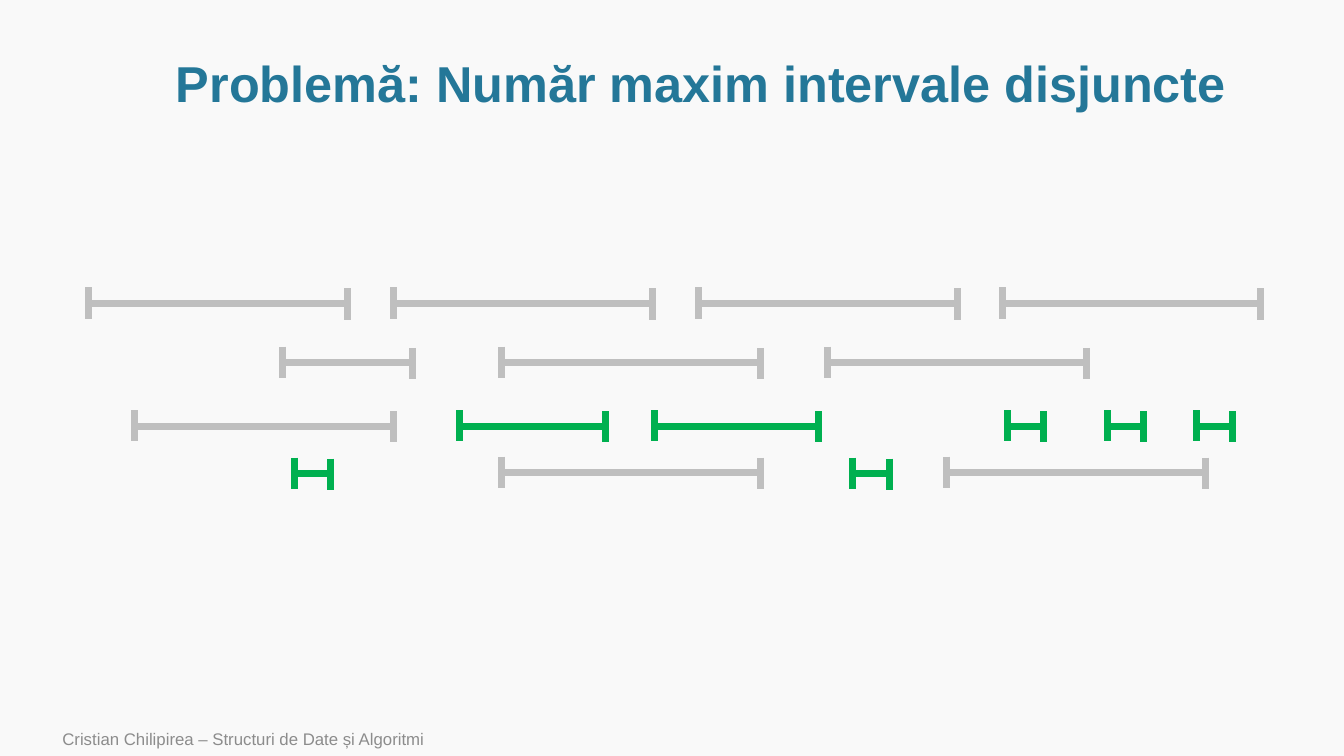
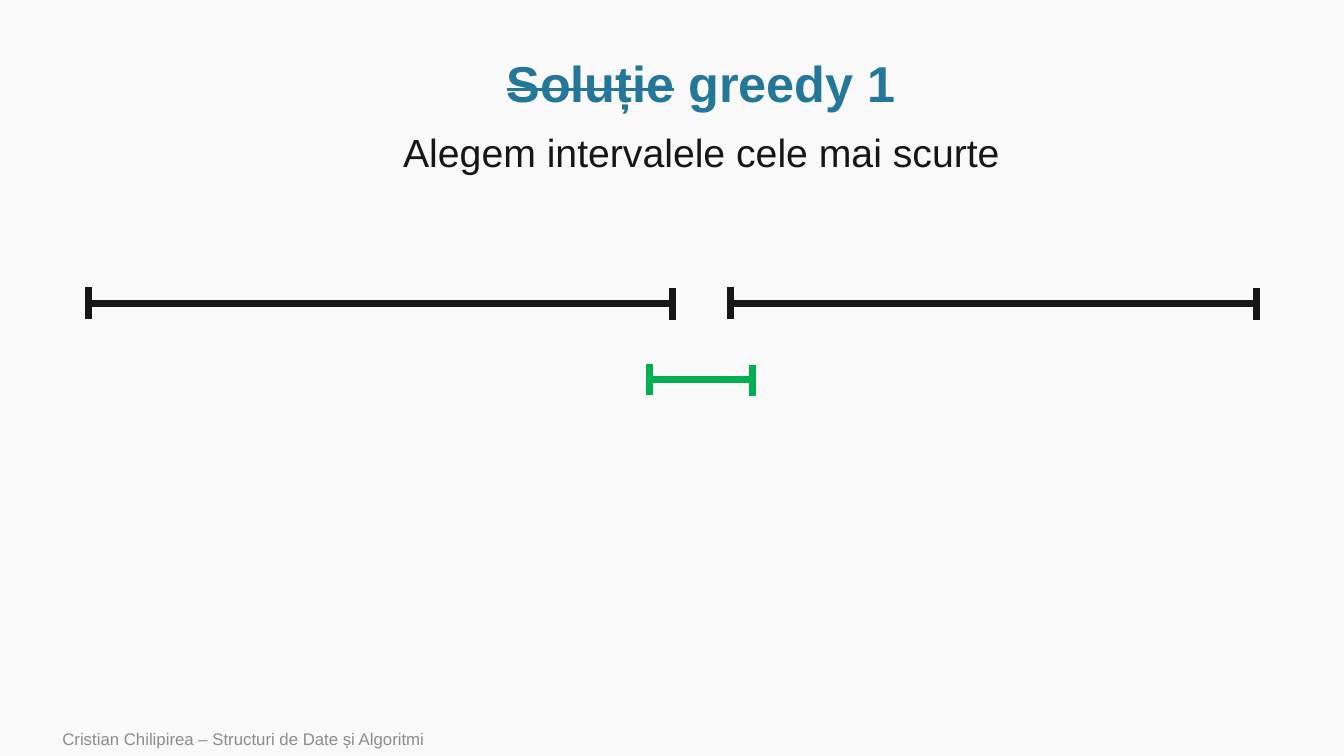
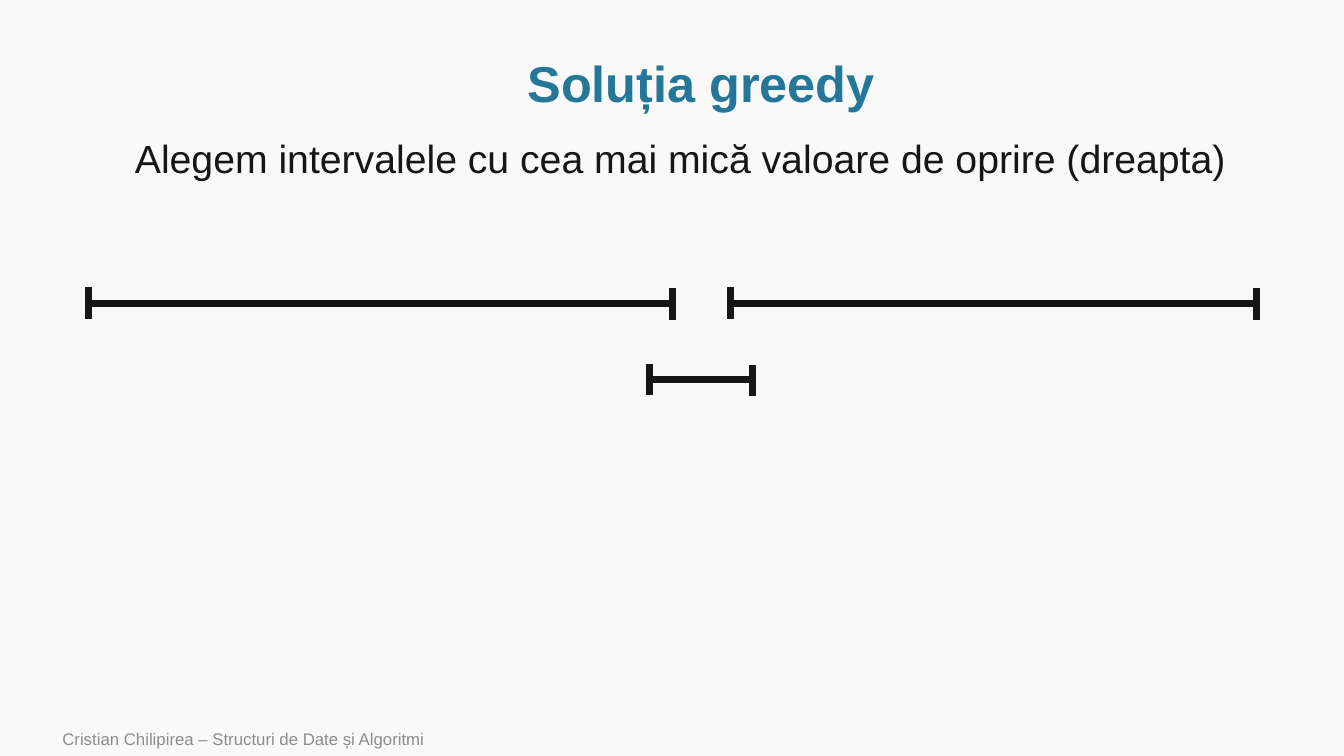
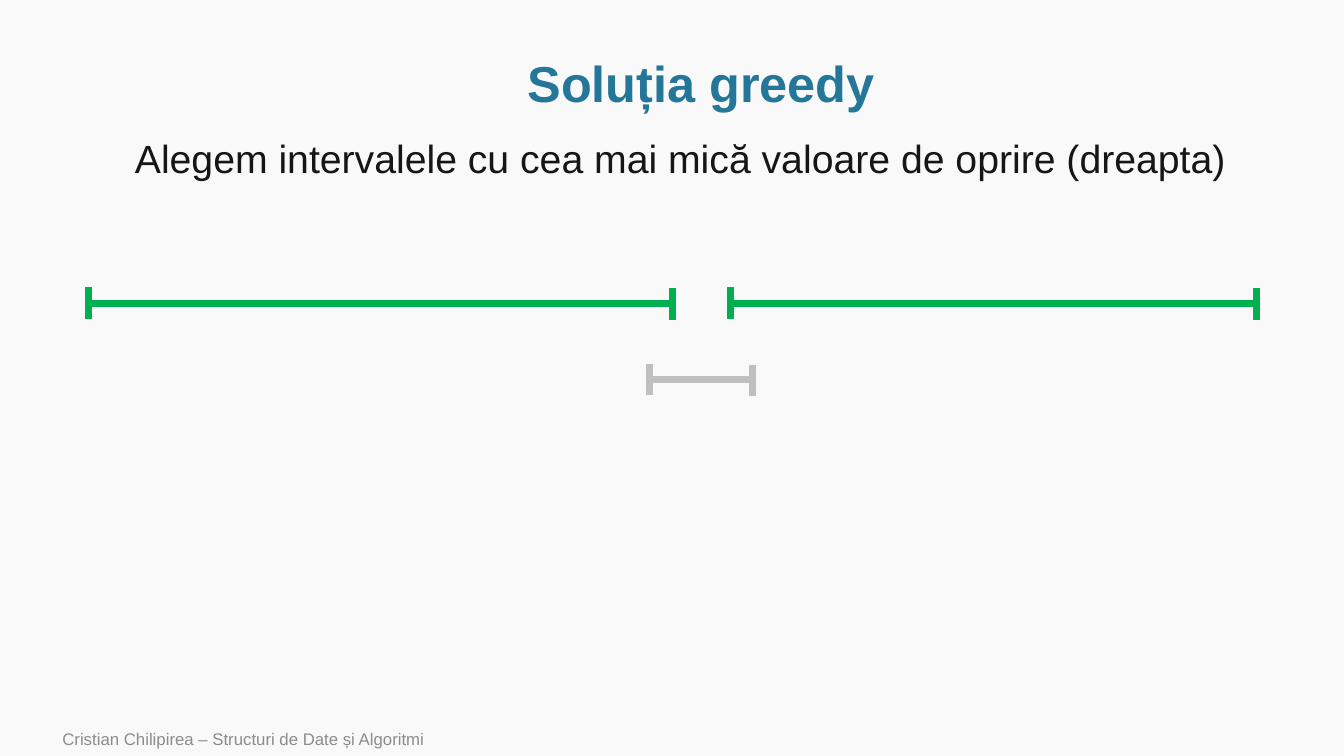
from lxml import etree
from pptx import Presentation
from pptx.dml.color import RGBColor
from pptx.enum.shapes import MSO_CONNECTOR
from pptx.enum.text import MSO_ANCHOR, PP_ALIGN
from pptx.oxml.ns import qn
from pptx.util import Inches, Pt

STRAIGHT = MSO_CONNECTOR.STRAIGHT
TOP, MIDDLE = MSO_ANCHOR.TOP, MSO_ANCHOR.MIDDLE
LEFT, CENTER = PP_ALIGN.LEFT, PP_ALIGN.CENTER

FONT = "Arial"
BACKGROUND, TITLE, FOOTER = "F9F9F9", "247798", "8C8C8C"
BLACK, GREEN, GRAY = "171616", "00B050", "BFBFBF"

FOOTER_TEXT = "Cristian Chilipirea – Structuri de Date și Algoritmi"
STOP_RULE = "Alegem intervalele cu cea mai mică valoare de oprire (dreapta)"


def add_text(slide, box, runs, size, color, bold=False, align=LEFT,
             anchor=TOP, spacing=1.0, wrap=True):
    """Add a one-paragraph text box; runs are (text, struck) pairs."""
    sp = slide.shapes.add_textbox(*[Inches(v) for v in box])
    tf = sp.text_frame
    tf.word_wrap = wrap
    tf.vertical_anchor = anchor
    p = tf.paragraphs[0]
    p.alignment = align
    p.line_spacing = spacing
    for text, struck in runs:
        r = p.add_run()
        r.text = text
        r.font.name = FONT
        r.font.size = Pt(size)
        r.font.bold = bold
        r.font.color.rgb = RGBColor.from_string(color)
        if struck:
            r._r.get_or_add_rPr().set("strike", "sngStrike")


def add_interval(slide, x1, x2, y, color):
    """Group a horizontal line with an upright cap at each end."""
    group = slide.shapes.add_group_shape()
    for ends in ((x1, y, x2, y),
                 (x1, y - 0.16, x1, y + 0.15),
                 (x2, y - 0.15, x2, y + 0.16)):
        line = group.shapes.add_connector(STRAIGHT, *[Inches(v) for v in ends])
        line.line.color.rgb = RGBColor.from_string(color)
        line.line.width = Pt(5)
        etree.SubElement(line._element.spPr, qn("a:effectLst"))


# Each interval is (start, stop, row height, colour).
many_intervals = [
    (x1, x2, y, color)
    for y, color, spans in (
        (3.01, GRAY, ((0.88, 3.45), (3.9, 6.47), (6.93, 9.5), (9.94, 12.5))),
        (3.6, GRAY, ((2.8, 4.09), (4.97, 7.54), (8.21, 10.78))),
        (4.23, GRAY, ((1.33, 3.9),)),
        (4.23, GREEN, ((4.56, 6.01), (6.49, 8.12), (9.99, 10.35),
                       (10.98, 11.34), (11.87, 12.22))),
        (4.69, GRAY, ((4.97, 7.54), (9.39, 11.96))),
        (4.7, GREEN, ((2.92, 3.28), (8.46, 8.82))),
    )
    for x1, x2 in spans
]
three_spans = ((0.88, 6.67, 3.01), (7.25, 12.46, 3.01), (6.44, 7.46, 3.77))
short_chosen, none_chosen, long_chosen = [
    [(*span, color) for span, color in zip(three_spans, colors)]
    for colors in ((BLACK, BLACK, GREEN), (BLACK, BLACK, BLACK), (GREEN, GREEN, GRAY))
]

rule_short = dict(box=(3.9, 1.22, 6.19, 0.57), wrap=False,
                  runs=[("Alegem intervalele cele mai scurte", False)])
rule_stop = dict(box=(1.24, 1.34, 11.53, 0.69), spacing=0.9,
                 runs=[(STOP_RULE, False)])

slides = (
    ([("Problemă: Număr maxim intervale disjuncte", False)], None, many_intervals),
    ([("Soluție", True), (" greedy 1", False)], rule_short, short_chosen),
    ([("Soluția greedy", False)], rule_stop, none_chosen),
    ([("Soluția greedy", False)], rule_stop, long_chosen),
)

prs = Presentation()
prs.slide_width, prs.slide_height = Inches(13.33), Inches(7.5)
fill = prs.slide_master.background.fill
fill.solid()
fill.fore_color.rgb = RGBColor.from_string(BACKGROUND)

for title, rule, intervals in slides:
    s = prs.slides.add_slide(prs.slide_layouts[6])
    add_text(s, (0.52, 7.16, 8.4, 0.34), [(FOOTER_TEXT, False)], 12, FOOTER,
             anchor=MIDDLE)
    add_text(s, (1.14, 0.51, 11.63, 0.69), title, 36, TITLE, bold=True,
             align=CENTER, anchor=MIDDLE, spacing=0.9)
    if rule:
        add_text(s, size=28, color=BLACK, **rule)
    for interval in intervals:
        add_interval(s, *interval)

prs.save("out.pptx")
